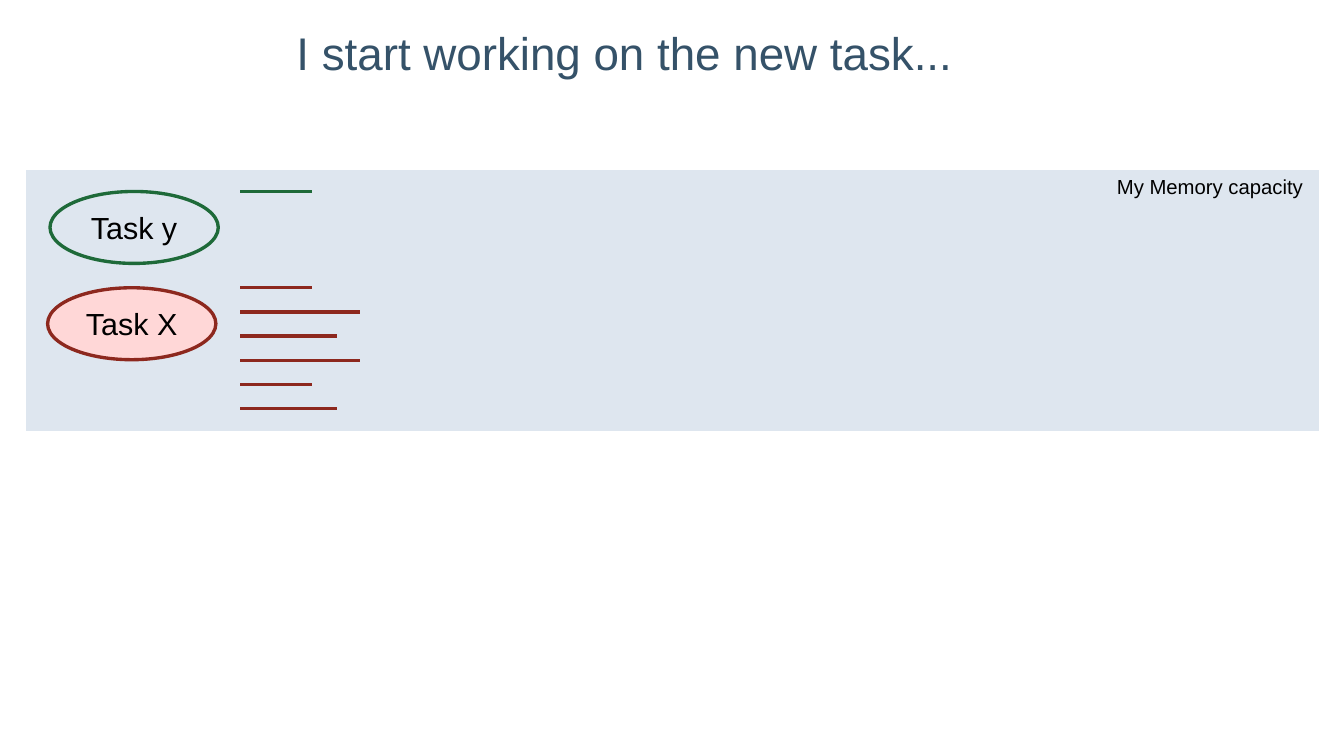
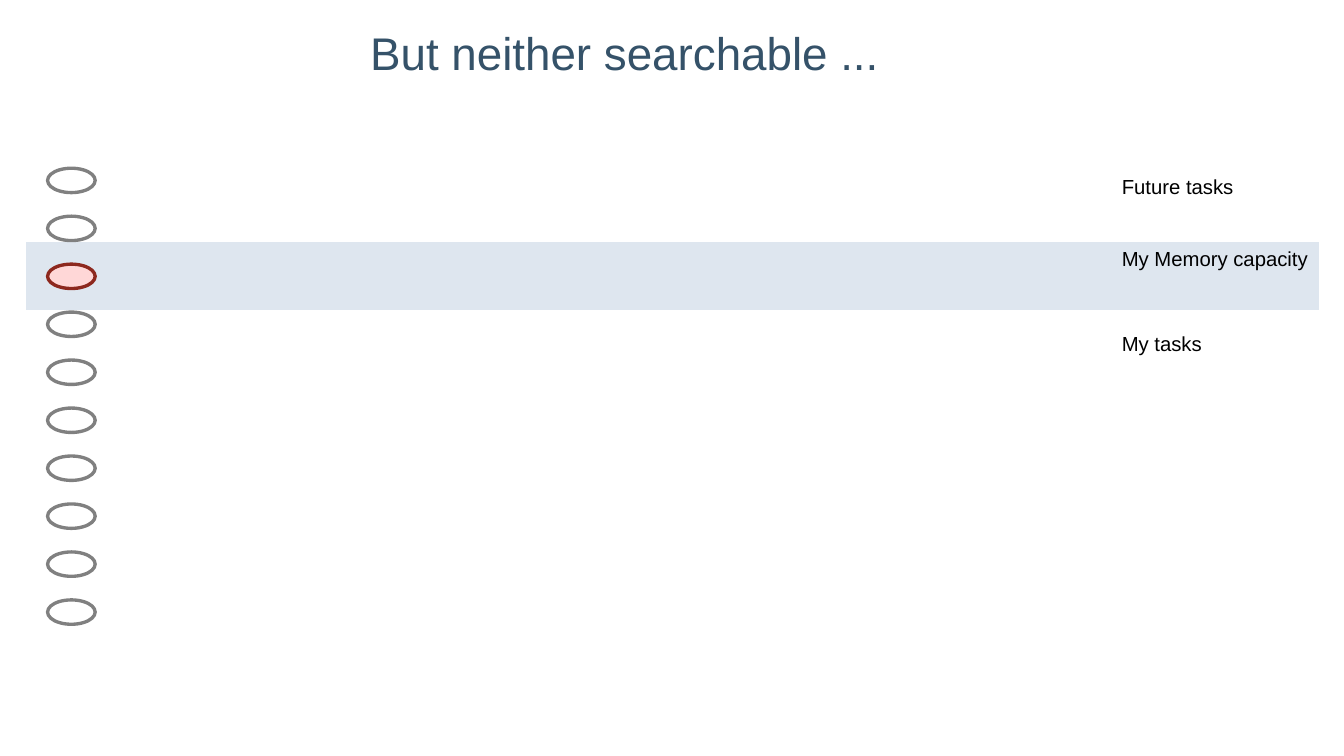
from pptx import Presentation
from pptx.dml.color import RGBColor
from pptx.enum.shapes import MSO_CONNECTOR, MSO_SHAPE
from pptx.enum.text import MSO_ANCHOR, PP_ALIGN
from pptx.oxml.ns import qn
from pptx.util import Inches, Pt
from lxml import etree

TITLE_BLUE = RGBColor(0x35, 0x52, 0x69)
BAND_BLUE = RGBColor(0xDE, 0xE6, 0xEF)
RED = RGBColor(0x8D, 0x28, 0x1E)
PINK = RGBColor(0xFF, 0xD7, 0xD7)
GREEN = RGBColor(0x1E, 0x6A, 0x39)
GRAY = RGBColor(0x80, 0x80, 0x80)
WHITE = RGBColor(0xFF, 0xFF, 0xFF)
BLACK = RGBColor(0, 0, 0)
FONT = "Arial"
LINE_WIDTH = Pt(1.98)
TASK_LEFT = 0.39


def add_block(slide, preset, box, fill, line):
    """Add a filled, outlined shape; box is left, top, width, height in inches."""
    block = slide.shapes.add_shape(preset, *map(Inches, box))
    block.shadow.inherit = False
    block.fill.solid()
    block.fill.fore_color.rgb = fill
    block.line.color.rgb = line
    block.line.width = LINE_WIDTH
    return block


def set_text(frame, text, size, color, align):
    frame.text = text
    paragraph = frame.paragraphs[0]
    paragraph.alignment = align
    font = paragraph.runs[0].font
    font.name = FONT
    font.size = Pt(size)
    font.color.rgb = color


prs = Presentation()
prs.slide_width = Inches(11.02)
prs.slide_height = Inches(6.2)

# Title, memory band (top, height) and labels (text, left, top, width)
slide_specs = [
    ("I start working on the new task...", (1.38, 2.17),
     [("My Memory capacity", 9.06, 1.38, 1.73)]),
    ("But neither searchable ...", (1.97, 0.59),
     [("My Memory capacity", 9.1, 1.97, 1.73),
      ("Future tasks", 9.1, 1.38, 1.12),
      ("My tasks", 9.1, 2.67, 0.86)]),
]

for heading, (band_top, band_height), labels in slide_specs:
    slide = prs.slides.add_slide(prs.slide_layouts[5])
    title = slide.shapes.title
    title.left, title.top = Inches(0.59), Inches(0.2)
    title.width, title.height = Inches(9.06), Inches(1.38)
    frame = title.text_frame
    frame.margin_left = frame.margin_right = 0
    frame.margin_top = frame.margin_bottom = 0
    frame.vertical_anchor = MSO_ANCHOR.TOP
    set_text(frame, heading, 27, TITLE_BLUE, PP_ALIGN.CENTER)

    add_block(slide, MSO_SHAPE.RECTANGLE, (0.2, band_top, 10.63, band_height),
              BAND_BLUE, WHITE)
    for text, left, top, width in labels:
        label = slide.shapes.add_textbox(Inches(left), Inches(top),
                                         Inches(width), Inches(0.29))
        label.text_frame.word_wrap = False
        set_text(label.text_frame, text, 12, BLACK, PP_ALIGN.LEFT)

new_task_slide, search_slide = prs.slides

# Slide 1: each task with the notes held in memory
NOTE_LEFT = 1.97
note_pitch = (3.35 - 2.36) / 5
tasks = [
    ("Task X", TASK_LEFT, 2.36, PINK, RED, [0.59, 0.98, 0.79, 0.98, 0.59, 0.79]),
    ("Task y", 0.41, 1.57, BAND_BLUE, GREEN, [0.59]),
]
for name, left, top, fill, color, note_lengths in tasks:
    task = add_block(new_task_slide, MSO_SHAPE.OVAL, (left, top, 1.38, 0.59),
                     fill, color)
    task.text_frame.word_wrap = False
    task.text_frame.vertical_anchor = MSO_ANCHOR.MIDDLE
    set_text(task.text_frame, name, 18, BLACK, PP_ALIGN.CENTER)
    for row, length in enumerate(note_lengths):
        y = Inches(top + row * note_pitch)
        note = new_task_slide.shapes.add_connector(
            MSO_CONNECTOR.STRAIGHT, Inches(NOTE_LEFT), y,
            Inches(NOTE_LEFT + length), y)
        note.line.color.rgb = color
        note.line.width = LINE_WIDTH
        etree.SubElement(note._element.spPr, qn("a:effectLst"))

# Slide 2: a column of tasks, only one of them in memory
TASK_COUNT = 10
CURRENT_TASK = 2
task_pitch = (4.92 - 1.38) / (TASK_COUNT - 1)
for row in range(TASK_COUNT):
    fill, color = (PINK, RED) if row == CURRENT_TASK else (WHITE, GRAY)
    add_block(search_slide, MSO_SHAPE.OVAL,
              (TASK_LEFT, 1.38 + row * task_pitch, 0.39, 0.2), fill, color)

prs.save("out.pptx")
